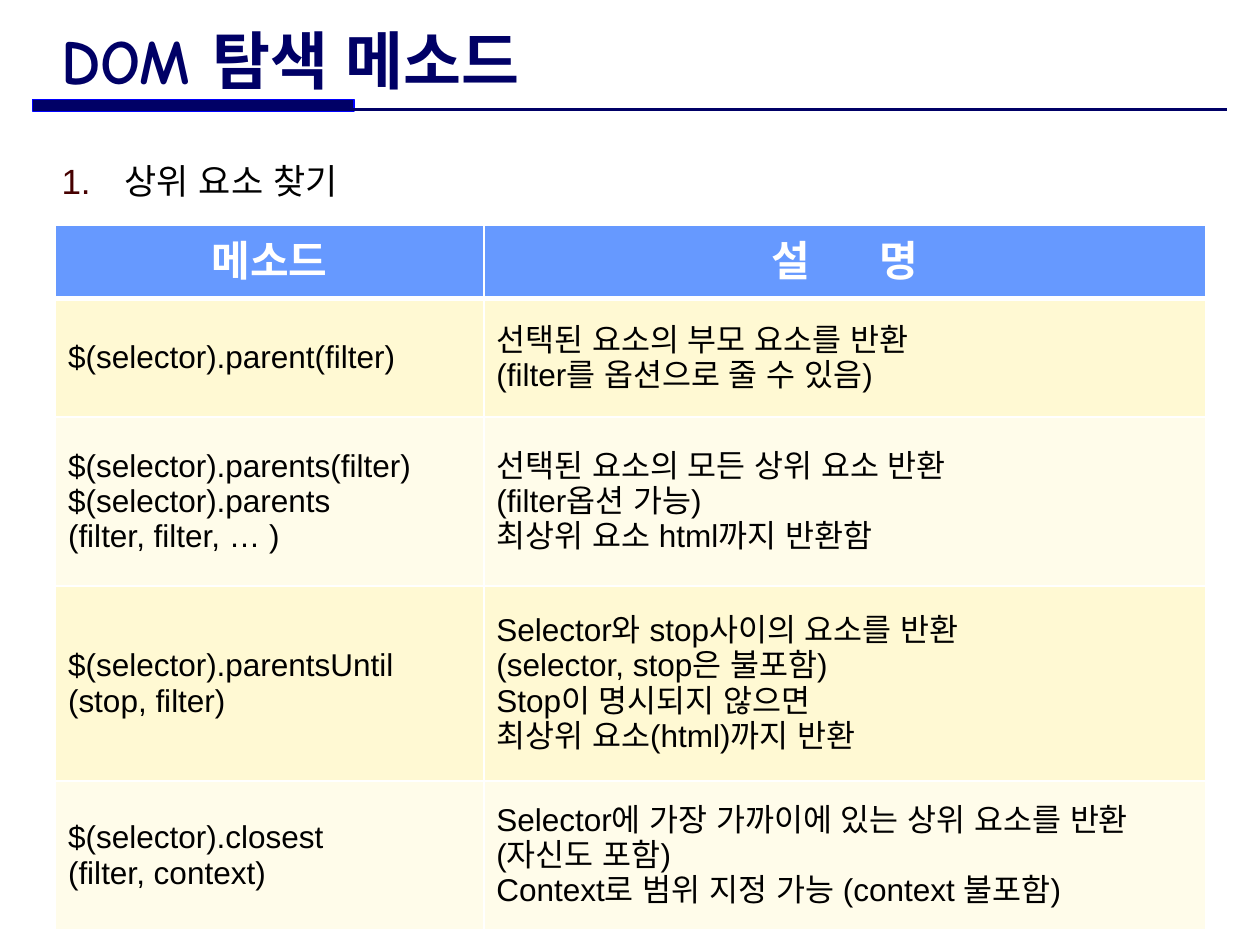
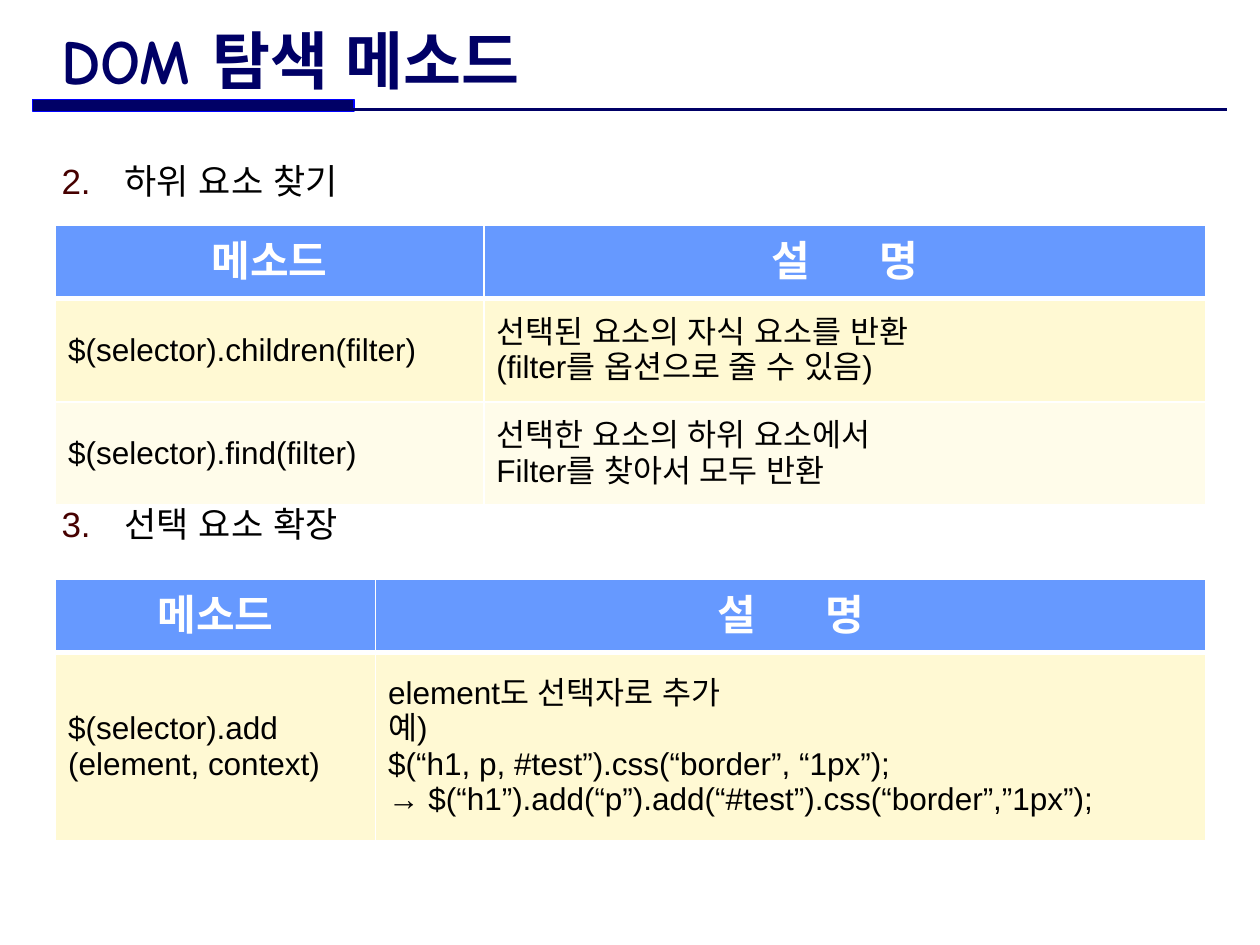
from pptx import Presentation
from pptx.dml.color import RGBColor
from pptx.enum.shapes import MSO_CONNECTOR, MSO_SHAPE
from pptx.enum.text import MSO_ANCHOR, PP_ALIGN
from pptx.oxml.ns import qn
from pptx.util import Inches, Pt
from lxml.etree import SubElement

COLORS = {"navy": "000066", "blue": "0000FF", "header": "6699FF", "odd": "FFF9D3",
          "even": "FFFCEA", "white": "FFFFFF", "black": "000000", "number": "460000"}
KOREAN = "Noto Sans CJK KR"
EAST_ASIAN = "Arial"
TITLE_FMT = {"size": Pt(36), "name": "Comic Neue", "bold": True, "color": "navy"}
HEADING_FMT = {"size": Pt(20), "name": KOREAN, "bold": False, "color": "black"}
HEADER_FMT = {"size": Pt(24), "name": "Arial", "bold": True, "color": "white"}
CELL_FMT = {"size": Pt(18), "name": "Arial", "bold": False, "color": "black"}

TITLE = "DOM 탐색 메소드"
HEADER = (["메소드"], ["설", " ", "명"])
HEADER_GAP = 33
HEADING_GAP = 172
TABLE_LEFT = 0.44

SLIDES = [
    {"start": 1, "headings": ["상위 요소 찾기"], "tables": [
        {"top": 1.79, "cols": (3.4, 5.73), "heights": (0.58, 0.94, 1.34, 1.55, 1.18), "rows": [
            (["$(selector).parent(filter)"],
             ["선택된 요소의 부모 요소를 반환", "(filter를 옵션으로 줄 수 있음)"]),
            (["$(selector).parents(filter)", "$(selector).parents", "(filter, filter, … )"],
             ["선택된 요소의 모든 상위 요소 반환", "(filter옵션 가능)",
              "최상위 요소 html까지 반환함"]),
            (["$(selector).parentsUntil", "(stop, filter)"],
             ["Selector와 stop사이의 요소를 반환", "(selector, stop은 불포함)",
              "Stop이 명시되지 않으면", "최상위 요소(html)까지 반환"]),
            (["$(selector).closest", "(filter, context)"],
             ["Selector에 가장 가까이에 있는 상위 요소를 반환", "(자신도 포함)",
              "Context로 범위 지정 가능 (context 불포함)"]),
        ]},
    ]},
    {"start": 2, "headings": ["하위 요소 찾기", "선택 요소 확장"], "tables": [
        {"top": 1.79, "cols": (3.4, 5.73), "heights": (0.58, 0.82, 0.82), "rows": [
            (["$(selector).children(filter)"],
             ["선택된 요소의 자식 요소를 반환", "(filter를 옵션으로 줄 수 있음)"]),
            (["$(selector).find(filter)"],
             ["선택한 요소의 하위 요소에서", "Filter를 찾아서 모두 반환"]),
        ]},
        {"top": 4.6, "cols": (2.54, 6.59), "heights": (0.58, 1.49), "rows": [
            (["$(selector).add", "(element, context)"],
             ["element도 선택자로 추가", "예)", "$(“h1, p, #test”).css(“border”, “1px”);",
              "→ $(“h1”).add(“p”).add(“#test”).css(“border”,”1px”);"]),
        ]},
    ]},
]


def rgb(name):
    return RGBColor.from_string(COLORS[name])


def add_run(p, text, fmt):
    r = p.add_run()
    r.text = text
    for key, value in fmt.items():
        if key == "color":
            r.font.color.rgb = rgb(value)
        else:
            setattr(r.font, key, value)
    SubElement(r.font._element, qn("a:ea"), typeface=EAST_ASIAN)
    return r


def add_text(s, box, **frame):
    tf = s.shapes.add_textbox(*map(Inches, box)).text_frame
    tf.word_wrap = True
    for key, value in frame.items():
        setattr(tf, key, value)
    return tf


def add_band(s):
    sp = s.shapes.add_shape(MSO_SHAPE.RECTANGLE, *map(Inches, (0.26, 0.79, 2.55, 0.09)))
    sp.shadow.inherit = False
    sp.fill.solid()
    sp.fill.fore_color.rgb = rgb("navy")
    sp.line.color.rgb = rgb("blue")
    sp.line.width = Pt(0.75)
    rule = s.shapes.add_connector(MSO_CONNECTOR.STRAIGHT, *map(Inches, (0.26, 0.87, 9.74, 0.87)))
    rule.line.color.rgb = rgb("navy")
    rule.line.width = Pt(1.5)
    SubElement(rule._element.spPr, qn("a:effectLst"))


def add_headings(s, headings, start):
    tf = add_text(s, (0.39, 1.22, 9.46, 5.6))
    for i, text in enumerate(headings):
        p = tf.add_paragraph() if i else tf.paragraphs[0]
        p.space_before = Pt(HEADING_GAP * i)
        add_run(p, text, HEADING_FMT)
        pPr = p._p.get_or_add_pPr()
        pPr.set("marL", str(Inches(0.5)))
        pPr.set("indent", str(-Inches(0.5)))
        color = SubElement(pPr, qn("a:buClr"))
        SubElement(color, qn("a:srgbClr"), val=COLORS["number"])
        SubElement(pPr, qn("a:buFont"), typeface=KOREAN)
        SubElement(pPr, qn("a:buAutoNum"), type="arabicPeriod", startAt=str(start))


def style_cell(cell, row):
    cell.vertical_anchor = MSO_ANCHOR.MIDDLE
    tcPr = cell._tc.get_or_add_tcPr()
    widths = {"L": 1, "R": 1, "T": 3 if row == 1 else 1, "B": 3 if row == 0 else 1}
    for side, width in widths.items():
        ln = SubElement(tcPr, qn(f"a:ln{side}"), w=str(Pt(width)))
        fill = SubElement(ln, qn("a:solidFill"))
        SubElement(fill, qn("a:srgbClr"), val=COLORS["white"])
    cell.fill.solid()
    cell.fill.fore_color.rgb = rgb("header" if row == 0 else "odd" if row % 2 else "even")


def fill_header(cell, parts):
    p = cell.text_frame.paragraphs[0]
    p.alignment = PP_ALIGN.CENTER
    for text in parts:
        r = add_run(p, text, HEADER_FMT)
        if text == " ":
            r.font._element.set("spc", str(HEADER_GAP * 100))


def fill_body(cell, lines):
    tf = cell.text_frame
    for i, text in enumerate(lines):
        p = tf.add_paragraph() if i else tf.paragraphs[0]
        add_run(p, text, CELL_FMT)


def add_method_table(s, top, cols, heights, rows):
    box = (TABLE_LEFT, top, sum(cols), sum(heights))
    table = s.shapes.add_table(len(heights), len(cols), *map(Inches, box)).table
    for column, width in zip(table.columns, cols):
        column.width = Inches(width)
    for row, height in zip(table.rows, heights):
        row.height = Inches(height)
    for i, texts in enumerate([HEADER] + rows):
        for j, lines in enumerate(texts):
            cell = table.cell(i, j)
            style_cell(cell, i)
            (fill_body if i else fill_header)(cell, lines)


prs = Presentation()
prs.slide_width, prs.slide_height = Inches(10), Inches(7.5)
for content in SLIDES:
    s = prs.slides.add_slide(prs.slide_layouts[6])
    add_band(s)
    add_headings(s, content["headings"], content["start"])
    tf = add_text(s, (0.39, 0.21, 6.79, 0.52), vertical_anchor=MSO_ANCHOR.MIDDLE)
    add_run(tf.paragraphs[0], TITLE, TITLE_FMT)
    for table in content["tables"]:
        add_method_table(s, **table)
prs.save("out.pptx")
